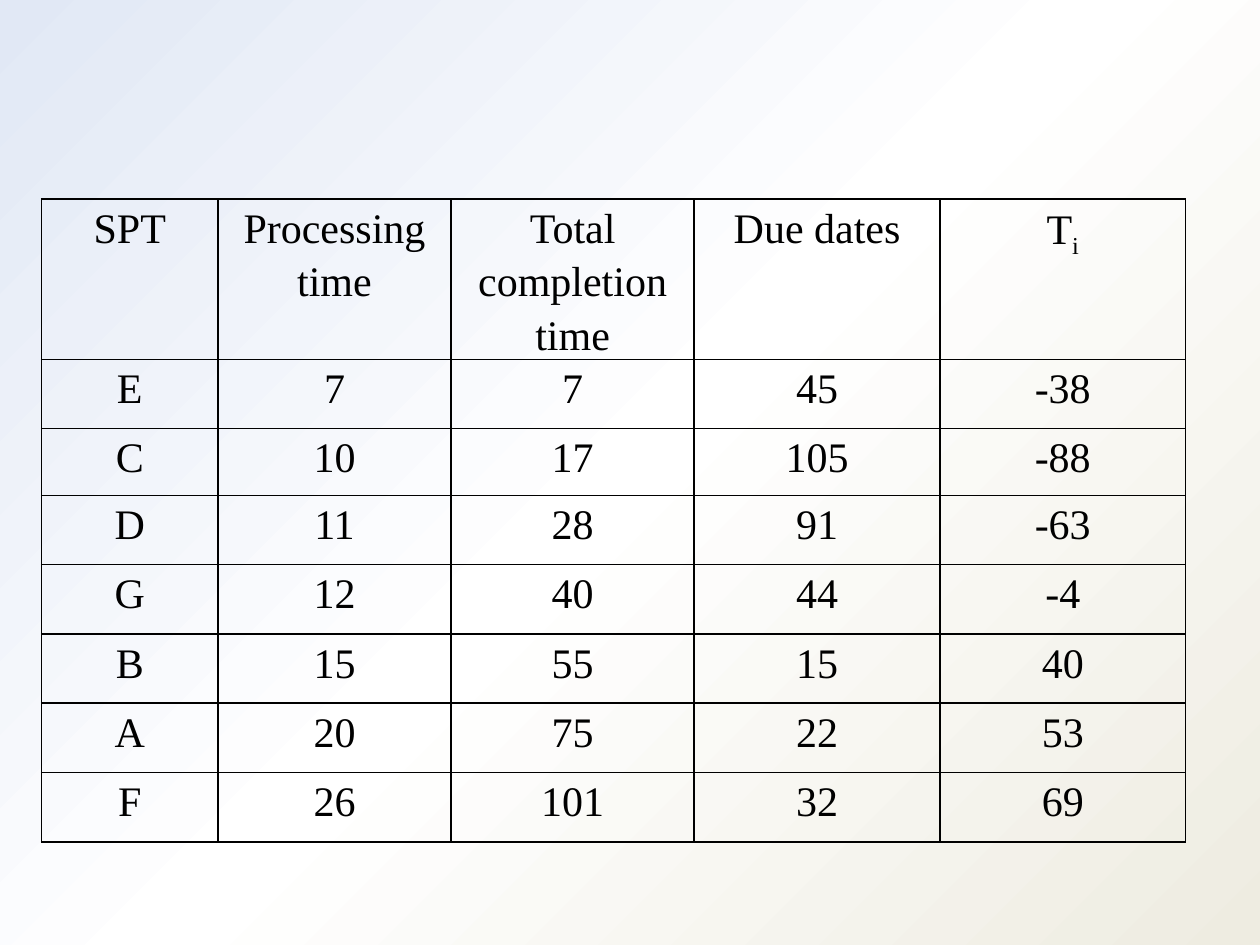
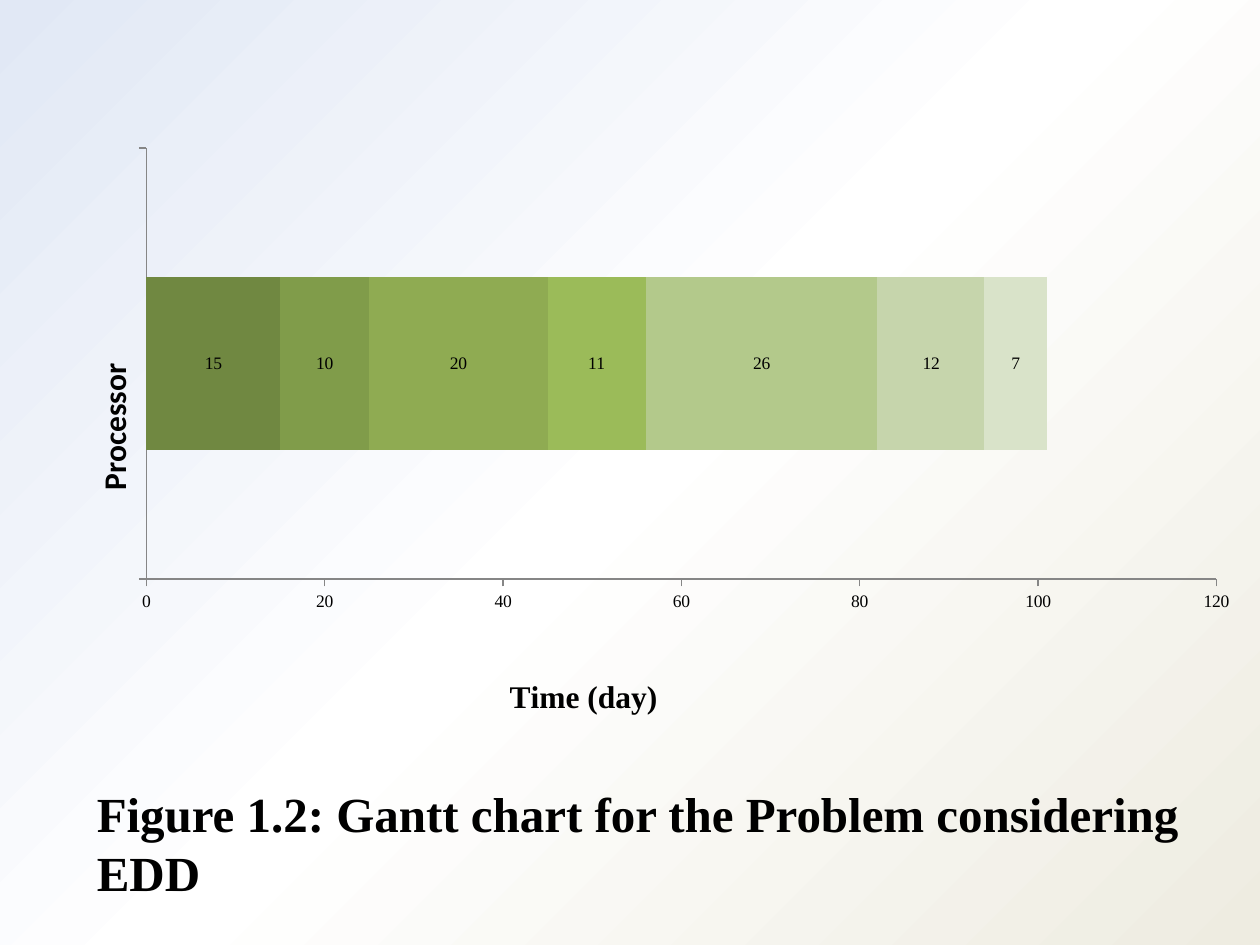
from lxml.etree import SubElement
from pptx import Presentation
from pptx.chart.data import CategoryChartData
from pptx.dml.color import RGBColor
from pptx.enum.chart import XL_CHART_TYPE, XL_LABEL_POSITION, XL_TICK_MARK
from pptx.enum.text import MSO_AUTO_SIZE, PP_ALIGN
from pptx.oxml import parse_xml
from pptx.oxml.ns import nsdecls, qn
from pptx.util import Inches, Pt

BLACK = RGBColor(0x00, 0x00, 0x00)
AXIS_GRAY = RGBColor(0x86, 0x86, 0x86)
BACKGROUND_STOPS = ((0, "E1E8F5"), (50, "FFFFFF"), (100, "EEECE1"))
GREENS = [RGBColor.from_string(code) for code in (
    "708841", "809C4A", "8FAB52", "9BBB59", "B3C98B", "C6D5AC", "D9E3C9")]
SERIF = "Times New Roman"
SANS = "Calibri"

COLUMN_WIDTHS = (1.4, 1.85, 1.93, 1.95, 1.95)
ROW_HEIGHTS = (1, 0.55, 0.53) + (0.55,) * 5
HEADINGS = ("SPT", "Processing time", "Total completion time", "Due dates", "T")
JOBS = (
    ("E", 7, 45, -38),
    ("C", 10, 105, -88),
    ("D", 11, 91, -63),
    ("G", 12, 44, -4),
    ("B", 15, 15, 40),
    ("A", 20, 22, 53),
    ("F", 26, 32, 69),
)
EDD_TIMES = (15, 10, 20, 11, 26, 12, 7)


def style_font(font, size, name=SERIF, bold=False):
    font.size = Pt(size)
    font.name = name
    font.bold = bold
    font.color.rgb = BLACK


def write_text(frame, text, size=24, name=SERIF, bold=False, align=None,
               spacing=None, subscript=""):
    para = frame.paragraphs[0]
    para.alignment = align
    para.line_spacing = spacing
    for content, baseline in ((text, 0), (subscript, -25000)):
        if content:
            span = para.add_run()
            span.text = content
            style_font(span.font, size, name, bold)
            if baseline:
                span.font._element.set("baseline", str(baseline))


def add_page(deck):
    page = deck.slides.add_slide(deck.slide_layouts[6])
    fill = page.background.fill
    fill.gradient()
    fill.gradient_angle = 315
    stops = page.background._cSld.find(".//" + qn("a:gsLst"))
    for stop in list(stops):
        stops.remove(stop)
    for position, code in BACKGROUND_STOPS:
        stop = SubElement(stops, qn("a:gs"), pos=str(position * 1000))
        SubElement(stop, qn("a:srgbClr"), val=code)
    return page


def add_borders(cell):
    properties = cell._tc.get_or_add_tcPr()
    for index, side in enumerate(("lnL", "lnR", "lnT", "lnB")):
        properties.insert(index, parse_xml(
            f'<a:{side} {nsdecls("a")} w="12700"><a:solidFill>'
            f'<a:srgbClr val="{BLACK}"/></a:solidFill></a:{side}>'))


def add_schedule(page):
    rows = [HEADINGS]
    finish = 0
    for job, duration, due, tardiness in JOBS:
        finish += duration
        rows.append((job, duration, finish, due, tardiness))
    table = page.shapes.add_table(
        len(rows), len(HEADINGS), Inches(0.33), Inches(1.58),
        Inches(9.08), Inches(5.21)).table
    table.first_row = table.horz_banding = False
    for column, width in zip(table.columns, COLUMN_WIDTHS):
        column.width = Inches(width)
    for row, height, values in zip(table.rows, ROW_HEIGHTS, rows):
        row.height = Inches(height)
        for cell, value in zip(row.cells, values):
            cell.margin_left = cell.margin_right = Inches(0.07)
            cell.margin_top = cell.margin_bottom = 0
            cell.fill.background()
            add_borders(cell)
            write_text(cell.text_frame, str(value), align=PP_ALIGN.CENTER,
                       spacing=1.15, subscript="i" if value == "T" else "")


def set_layout(parent, index, target=None, **places):
    for old in parent.findall(qn("c:layout")):
        parent.remove(old)
    layout = parse_xml(f'<c:layout {nsdecls("c")}><c:manualLayout/></c:layout>')
    manual = layout[0]
    if target:
        SubElement(manual, qn("c:layoutTarget"), val=target)
    for key in ("x", "y"):
        SubElement(manual, qn(f"c:{key}Mode"), val="edge")
    for key, value in places.items():
        SubElement(manual, qn(f"c:{key}"), val=str(value))
    parent.insert(index, layout)


def style_axis(axis, size, **font):
    axis.has_major_gridlines = False
    axis.major_tick_mark = XL_TICK_MARK.OUTSIDE
    axis.minor_tick_mark = XL_TICK_MARK.NONE
    axis.format.line.color.rgb = AXIS_GRAY
    axis.format.line.width = Pt(0.75)
    style_font(axis.tick_labels.font, size, **font)


def add_gantt(page):
    data = CategoryChartData()
    data.categories = ["Processor"]
    for number, duration in enumerate(EDD_TIMES, 1):
        data.add_series(f"Series {number}", [duration])
    chart = page.shapes.add_chart(
        XL_CHART_TYPE.BAR_STACKED, Inches(-0.17), 0,
        Inches(10.17), Inches(6.75), data).chart
    chart.has_legend = False
    style_font(chart.font, 10)

    chart.has_title = True
    write_text(chart.chart_title.text_frame, "Time (day)", size=18, bold=True)
    chart.chart_title.include_in_layout = False
    set_layout(chart.chart_title._element, 1, x=0.41, y=0.79)
    set_layout(chart._chartSpace.chart.plotArea, 0, target="inner",
               x=0.131, y=0.174, w=0.835, h=0.507)

    style_axis(chart.category_axis, 18, name=SANS, bold=True)
    body = chart.category_axis._element.find(qn("c:txPr")).find(qn("a:bodyPr"))
    body.set("rot", "-5400000")
    body.set("vert", "horz")
    style_axis(chart.value_axis, 10)
    chart.value_axis.minimum_scale = 0
    chart.value_axis.maximum_scale = 120
    chart.value_axis.major_unit = 20

    plot = chart.plots[0]
    plot.gap_width = 150
    plot.overlap = 100
    plot.vary_by_categories = False
    for series, green in zip(plot.series, GREENS):
        series.format.fill.solid()
        series.format.fill.fore_color.rgb = green
        labels = series.data_labels
        labels.show_value = True
        labels.position = XL_LABEL_POSITION.CENTER
        style_font(labels.font, 10)


def add_caption(page, text):
    box = page.shapes.add_textbox(
        Inches(0.67), Inches(6.17), Inches(9.33), Inches(1.04))
    box.text_frame.word_wrap = True
    box.text_frame.auto_size = MSO_AUTO_SIZE.SHAPE_TO_FIT_TEXT
    write_text(box.text_frame, text, size=28, bold=True)


def main():
    deck = Presentation()
    deck.slide_width = Inches(10)
    deck.slide_height = Inches(7.5)
    add_schedule(add_page(deck))
    page = add_page(deck)
    add_gantt(page)
    add_caption(page, "Figure 1.2: Gantt chart for the Problem considering EDD")
    deck.save("out.pptx")


main()
